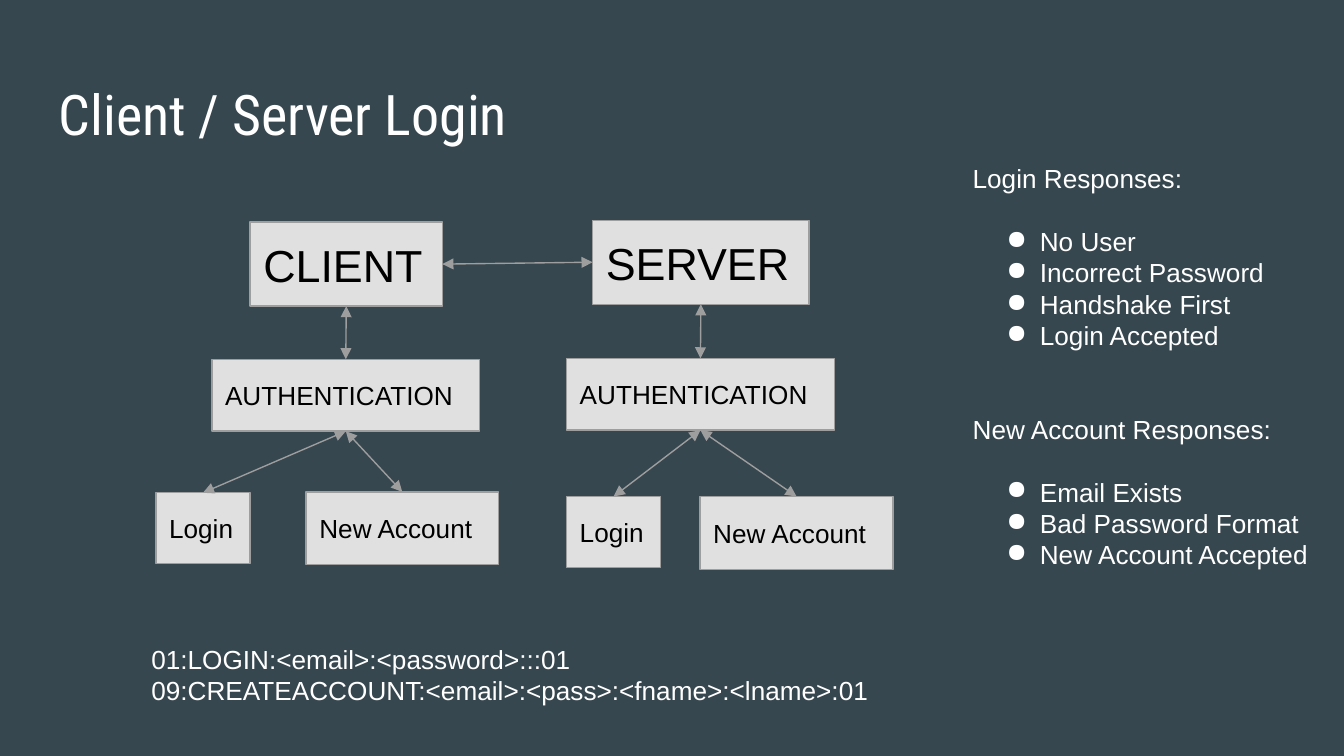
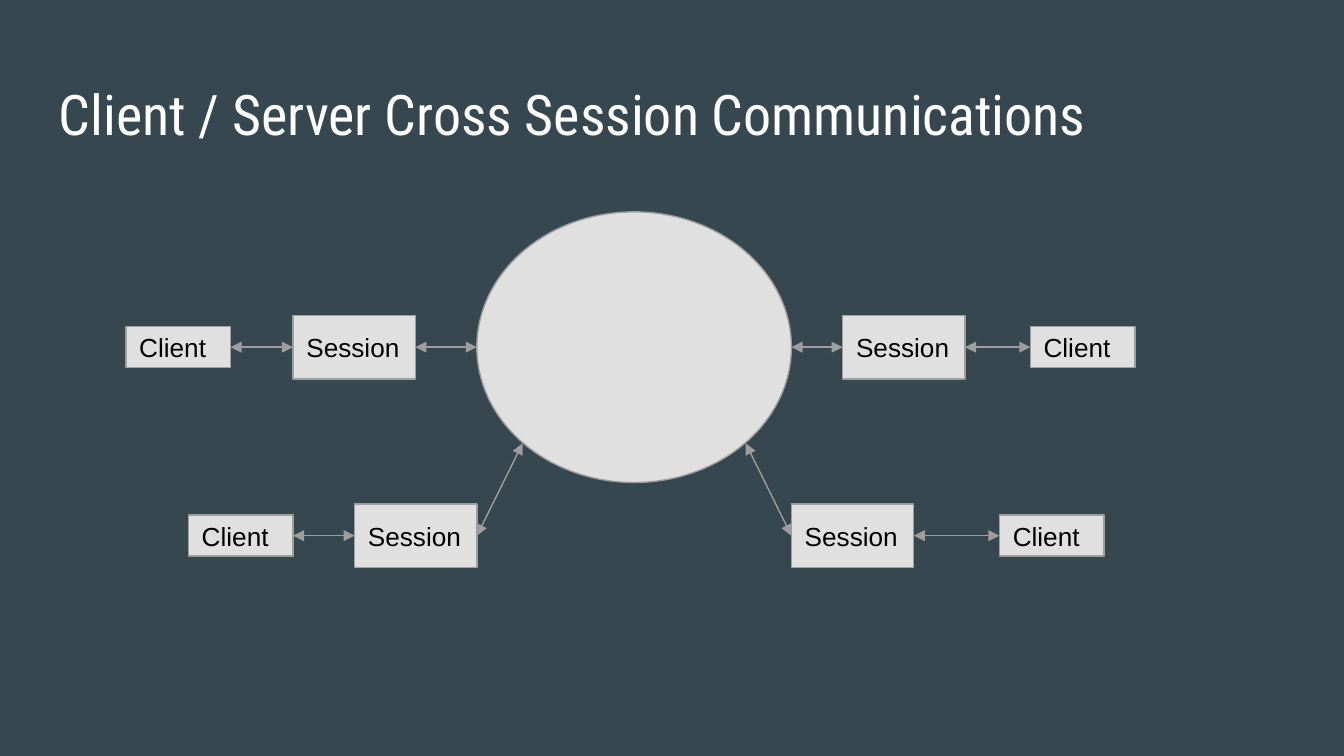
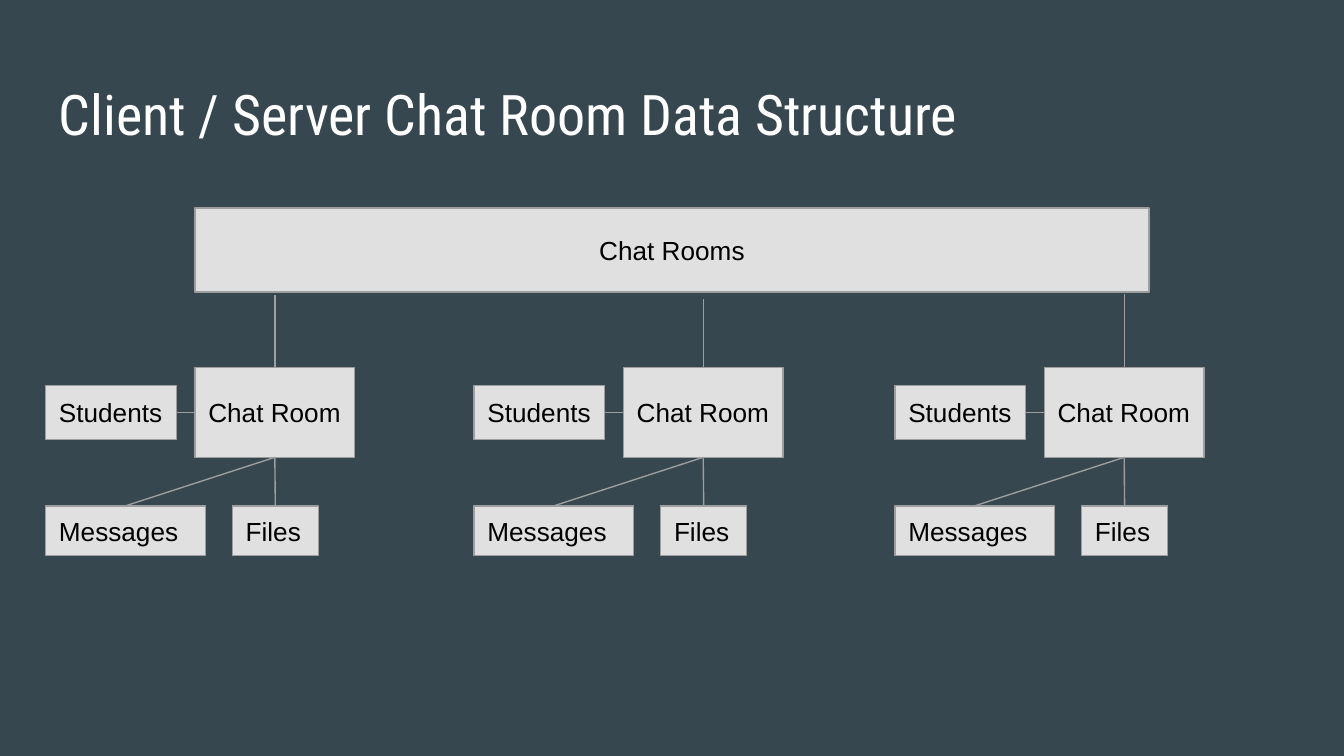
from dataclasses import dataclass

from lxml.etree import SubElement
from pptx import Presentation
from pptx.dml.color import RGBColor
from pptx.enum.shapes import MSO_CONNECTOR, MSO_SHAPE
from pptx.enum.text import MSO_ANCHOR, PP_ALIGN
from pptx.oxml.ns import qn
from pptx.util import Pt


@dataclass(frozen=True)
class Theme:
    back: RGBColor = RGBColor.from_string("37474F")
    fill: RGBColor = RGBColor.from_string("E0E0E0")
    edge: RGBColor = RGBColor.from_string("9E9E9E")
    dark: RGBColor = RGBColor.from_string("000000")
    light: RGBColor = RGBColor.from_string("FFFFFF")
    head: str = "Roboto Condensed"
    body: str = "Arial"
    title: int = 30
    large: int = 24
    small: int = 14
    rule: float = 0.75
    pad: float = 7.2


THEME = Theme()
TOP, LEFT, BOTTOM, RIGHT = range(4)  # connection sites of a rectangle


def style(para, size, color, face=THEME.body):
    font = para.font
    font.name, font.size, font.color.rgb = face, Pt(size), color


def inset(frame):
    frame.word_wrap = True
    frame.margin_left = frame.margin_right = Pt(THEME.pad)
    frame.margin_top = frame.margin_bottom = Pt(THEME.pad)


def add_text(slide, area, lines, size=THEME.small, face=THEME.body):
    """Add a light text box and return its paragraphs."""
    frame = slide.shapes.add_textbox(*map(Pt, area)).text_frame
    inset(frame)
    frame.text = "\n".join(lines)
    for para in frame.paragraphs:
        style(para, size, THEME.light, face)
    return frame.paragraphs


def add_bullet(para):
    props = para._p.get_or_add_pPr()
    props.set("marL", str(Pt(36)))
    props.set("indent", str(Pt(-18)))
    tint = props.makeelement(qn("a:buClr"))
    SubElement(tint, qn("a:srgbClr"), val=str(THEME.light))
    mark = props.makeelement(qn("a:buChar"), char="●")
    for item in (tint, mark):
        props.find(qn("a:defRPr")).addprevious(item)


def add_shape(slide, kind, area):
    shape = slide.shapes.add_shape(kind, *map(Pt, area))
    shape.shadow.inherit = False
    shape.fill.solid()
    shape.fill.fore_color.rgb = THEME.fill
    shape.line.color.rgb = THEME.edge
    shape.line.width = Pt(THEME.rule)
    return shape


def add_box(slide, text, area, size=THEME.small, align=PP_ALIGN.LEFT):
    box = add_shape(slide, MSO_SHAPE.RECTANGLE, area)
    frame = box.text_frame
    inset(frame)
    frame.vertical_anchor = MSO_ANCHOR.MIDDLE
    frame.text = text
    para = frame.paragraphs[0]
    para.alignment = align
    style(para, size, THEME.dark)
    return box


def add_line(slide, box, side, x=0, y=0, arrows=True):
    """Draw a line from one side of a box to a free point."""
    line = slide.shapes.add_connector(
        MSO_CONNECTOR.STRAIGHT, 0, 0, Pt(x), Pt(y))
    line.begin_connect(box, side)
    line.line.color.rgb = THEME.edge
    line.line.width = Pt(THEME.rule)
    props = line.element.spPr
    if arrows:
        for tip in ("a:headEnd", "a:tailEnd"):
            SubElement(props.find(qn("a:ln")), qn(tip), type="triangle")
    SubElement(props, qn("a:effectLst"))
    return line


def join(slide, box, side, goal, end, arrows=True):
    add_line(slide, box, side, arrows=arrows).end_connect(goal, end)


def add_slide(deck, title):
    slide = deck.slides.add_slide(deck.slide_layouts[6])
    slide.background.fill.solid()
    slide.background.fill.fore_color.rgb = THEME.back
    add_text(slide, (24.5, 35.5, 671, 45), [title], THEME.title, THEME.head)
    return slide


def add_peer(slide, name, peer, auth, login, account):
    """Add a client or server with its login parts below."""
    root = add_box(slide, name, peer, THEME.large)
    check = add_box(slide, "AUTHENTICATION", auth)
    join(slide, root, BOTTOM, check, TOP)
    for text, area in (("Login", login), ("New Account", account)):
        join(slide, check, BOTTOM, add_box(slide, text, area), TOP)
    return root


def login_slide(deck):
    slide = add_slide(deck, "Client / Server Login")
    server = add_peer(
        slide, "SERVER", (317.5, 118, 116, 45), (303.5, 192, 143.5, 38.5),
        (303.5, 266, 50.5, 38), (375, 266, 103.5, 39))
    client = add_peer(
        slide, "CLIENT", (134, 119, 103, 45), (113.5, 192.5, 143.5, 38.5),
        (83.5, 264, 50.5, 38), (164, 263.5, 103, 39))
    join(slide, client, RIGHT, server, LEFT)

    groups = {
        "Login Responses:": ("No User", "Incorrect Password",
                             "Handshake First", "Login Accepted"),
        "New Account Responses:": ("Email Exists", "Bad Password Format",
                                   "New Account Accepted"),
    }
    lines = [text for head, items in groups.items() for text in (head, *items)]
    paras = add_text(slide, (514, 80, 196, 253), lines)
    for index, para in enumerate(paras):
        if para.text in groups:
            para.space_before = Pt(33.5 if index else 0)
            para.space_after = Pt(16.75)
        else:
            add_bullet(para)
    add_text(slide, (74, 337.5, 404, 48), (
        "01:LOGIN:<email>:<password>:::01",
        "09:CREATEACCOUNT:<email>:<pass>:<fname>:<lname>:01"))


def session_slide(deck):
    slide = add_slide(deck, "Client / Server Cross Session Communications")
    add_shape(slide, MSO_SHAPE.OVAL, (255.5, 113.5, 168.5, 145))
    high, low, touch = 186, 287, 237.5
    for x, far, mid, inner, outer, goal in (
            (157, 67.5, high, RIGHT, LEFT, (255.5, high)),
            (451.5, 552, high, LEFT, RIGHT, (424, high)),
            (190, 101, low, RIGHT, LEFT, (280, touch)),
            (424, 535.5, low, LEFT, RIGHT, (399.5, touch))):
        session = add_box(slide, "Session", (x, mid - 17, 65.5, 34))
        client = add_box(slide, "Client", (far, mid - 11, 56, 22))
        add_line(slide, session, inner, *goal)
        join(slide, session, outer, client, inner)


def add_room(slide, x, y):
    """Add a chat room with its data, tied to height y above it."""
    room = add_box(slide, "Chat Room", (x + 80, 197, 85.5, 48))
    for text, area, side, end in (
            ("Students", (x, 206.5, 70, 29), LEFT, RIGHT),
            ("Messages", (x, 271, 85.5, 26.5), BOTTOM, TOP),
            ("Files", (x + 100, 271, 46, 26.5), BOTTOM, TOP)):
        part = add_box(slide, text, area)
        join(slide, room, side, part, end, arrows=False)
    add_line(slide, room, TOP, x + 122.75, y, arrows=False)


def room_slide(deck):
    slide = add_slide(deck, "Client / Server Chat Room Data Structure")
    add_box(slide, "Chat Rooms", (104.5, 111.5, 511, 45),
            align=PP_ALIGN.CENTER)
    for x, y in ((24.5, 158), (254, 160), (479.5, 157.5)):
        add_room(slide, x, y)


def main():
    deck = Presentation()
    deck.slide_width, deck.slide_height = Pt(720), Pt(405)
    login_slide(deck)
    session_slide(deck)
    room_slide(deck)
    deck.save("out.pptx")


if __name__ == "__main__":
    main()
